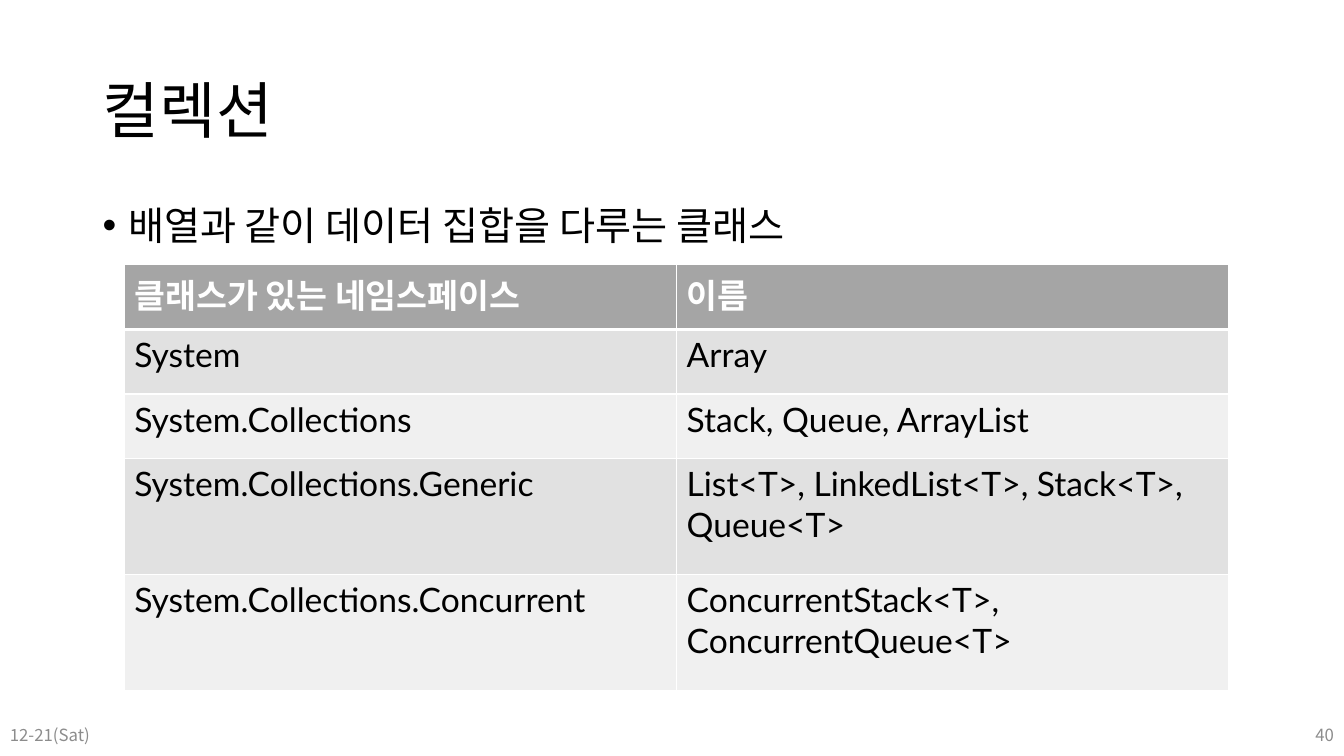
from lxml.etree import SubElement
from pptx import Presentation
from pptx.dml.color import RGBColor
from pptx.enum.text import MSO_ANCHOR, PP_ALIGN
from pptx.oxml.ns import qn
from pptx.util import Cm, Pt

BLACK = RGBColor(0x00, 0x00, 0x00)
WHITE = RGBColor(0xFF, 0xFF, 0xFF)
FOOTER_GRAY = RGBColor(0x8C, 0x8C, 0x8C)
HEADER_GRAY = RGBColor(0xA5, 0xA5, 0xA5)
BANDS = (RGBColor(0xE1, 0xE1, 0xE1), RGBColor(0xF0, 0xF0, 0xF0))
HANGUL_FONT = "Noto Sans CJK KR"

SLIDE_W, SLIDE_H = 33.87, 19.05
ROW_HEIGHTS = (1.63, 1.63, 1.63, 2.92, 2.92)
COLLECTIONS = (
    ("클래스가 있는 네임스페이스", "이름"),
    ("System", "Array"),
    ("System.Collections", "Stack, Queue, ArrayList"),
    ("System.Collections.Generic", "List<T>, LinkedList<T>, Stack<T>, Queue<T>"),
    ("System.Collections.Concurrent", "ConcurrentStack<T>, ConcurrentQueue<T>"),
)


def add_run(p, text, size, font, color, bold=False):
    r = p.add_run()
    r.text = text
    r.font.size = Pt(size)
    r.font.name = font
    r.font.bold = bold
    r.font.color.rgb = color
    SubElement(r.font._element, qn("a:ea"), typeface=HANGUL_FONT)


def add_text(s, box, text, size, font, color, anchor=MSO_ANCHOR.MIDDLE):
    """Add a one-paragraph text box and return its paragraph."""
    tf = s.shapes.add_textbox(*map(Cm, box)).text_frame
    tf.word_wrap = True
    tf.vertical_anchor = anchor
    p = tf.paragraphs[0]
    add_run(p, text, size, font, color)
    return p


def add_title(s, box):
    p = add_text(s, box, "컬렉션", 44, "Calibri", BLACK)
    p.line_spacing = 0.9


def add_bullet(s, box):
    p = add_text(s, box, "배열과 같이 데이터 집합을 다루는 클래스", 28, "Lato", BLACK,
                 MSO_ANCHOR.TOP)
    p.line_spacing = 0.9
    p.space_before = Pt(10)
    pPr = p._p.get_or_add_pPr()
    pPr.set("marL", str(Cm(0.64)))
    pPr.set("indent", str(Cm(-0.64)))
    SubElement(pPr, qn("a:buFont"), typeface="Arial")
    SubElement(pPr, qn("a:buChar"), char="•")


def add_footer(s, box):
    """Place the date at the left end of the box and the page number at the right."""
    left, top, width, height = box
    part_w = 7.62
    add_text(s, (left, top, part_w, height), "12-21(Sat)", 12, HANGUL_FONT, FOOTER_GRAY)
    p = add_text(s, (left + width - part_w, top, part_w, height), "40", 12,
                 HANGUL_FONT, FOOTER_GRAY)
    p.alignment = PP_ALIGN.RIGHT


def set_borders(cell, top, bottom):
    """Draw white cell borders; top and bottom are widths in points."""
    tcPr = cell._tc.get_or_add_tcPr()
    for side, width in (("L", 1), ("R", 1), ("T", top), ("B", bottom)):
        ln = SubElement(tcPr, qn(f"a:ln{side}"), w=str(Pt(width)))
        fill = SubElement(ln, qn("a:solidFill"))
        SubElement(fill, qn("a:srgbClr"), val=str(WHITE))


def add_collection_table(s, box):
    table = s.shapes.add_table(len(COLLECTIONS), 2, *map(Cm, box)).table
    for column in table.columns:
        column.width = Cm(box[2] / 2)
    for i, (height, texts) in enumerate(zip(ROW_HEIGHTS, COLLECTIONS)):
        table.rows[i].height = Cm(height)
        header = i == 0
        for j, text in enumerate(texts):
            cell = table.cell(i, j)
            set_borders(cell, 3 if i == 1 else 1, 3 if header else 1)
            cell.fill.solid()
            cell.fill.fore_color.rgb = HEADER_GRAY if header else BANDS[(i - 1) % 2]
            add_run(cell.text_frame.paragraphs[0], text, 24, "Lato",
                    WHITE if header else BLACK, header)


def main():
    prs = Presentation()
    prs.slide_width, prs.slide_height = Cm(SLIDE_W), Cm(SLIDE_H)
    s = prs.slides.add_slide(prs.slide_layouts[6])
    add_title(s, (2.34, 1.02, 29.21, 3.68))
    add_bullet(s, (2.34, 5.08, 29.21, 1.45))
    add_footer(s, (0, 18.01, SLIDE_W, 1.02))
    add_collection_table(s, (3.13, 6.67, 27.84, sum(ROW_HEIGHTS)))
    prs.save("out.pptx")


if __name__ == "__main__":
    main()
